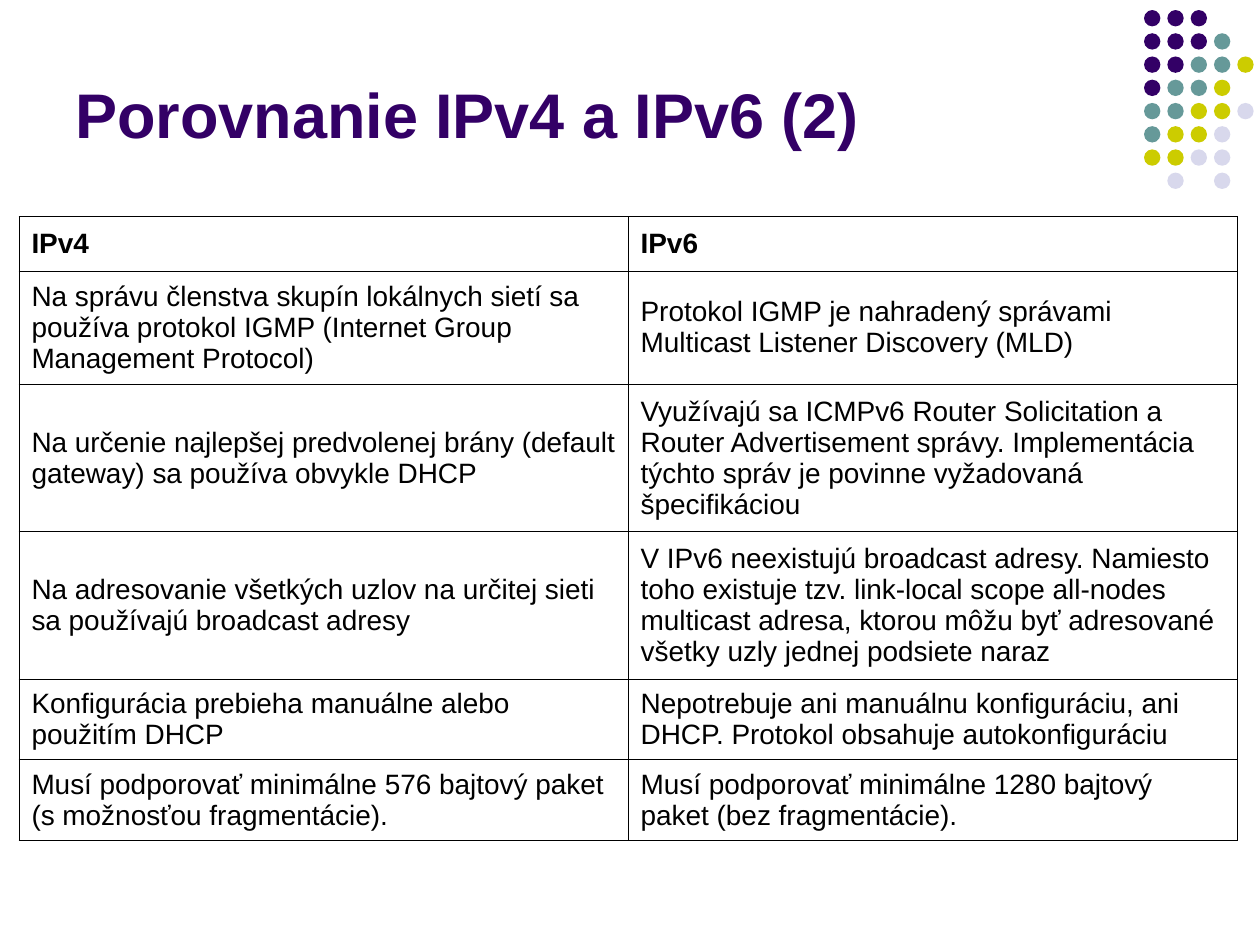
import pptx
import pptx.dml.color
import pptx.enum.shapes
import pptx.enum.text
import pptx.oxml
import pptx.oxml.ns
import pptx.util
from pptx.util import Inches

FONT = "Arial"
PURPLE, BLACK = "330066", "000000"
DOT_COLORS = {"P": PURPLE, "T": "669999", "Y": "CCCC00", "L": "D8D8EC"}
DOT_ROWS = ["PPP", "PPPT", "PPTTY", "PTTY", "TTYYL", "TYYL", "YYLL", " L L"]

ROW_HEIGHTS = [0.43, 0.9, 1.17, 1.17, 0.64, 0.64]
COMPARISON = [
    ("IPv4", "IPv6"),
    ("Na správu členstva skupín lokálnych sietí sa používa protokol IGMP "
     "(Internet Group Management Protocol)",
     "Protokol IGMP je nahradený správami Multicast Listener Discovery (MLD)"),
    ("Na určenie najlepšej predvolenej brány (default gateway) sa používa "
     "obvykle DHCP",
     "Využívajú sa ICMPv6 Router Solicitation a Router Advertisement správy. "
     "Implementácia týchto správ je povinne vyžadovaná špecifikáciou"),
    ("Na adresovanie všetkých uzlov na určitej sieti sa používajú broadcast "
     "adresy",
     "V IPv6 neexistujú broadcast adresy. Namiesto toho existuje tzv. "
     "link-local scope all-nodes multicast adresa, ktorou môžu byť adresované "
     "všetky uzly jednej podsiete naraz"),
    ("Konfigurácia prebieha manuálne alebo použitím DHCP",
     "Nepotrebuje ani manuálnu konfiguráciu, ani DHCP. Protokol obsahuje "
     "autokonfiguráciu"),
    ("Musí podporovať minimálne 576 bajtový paket (s možnosťou fragmentácie).",
     "Musí podporovať minimálne 1280 bajtový paket (bez fragmentácie)."),
]


def color(hex_value):
    return pptx.dml.color.RGBColor.from_string(hex_value)


def style(para, size, hex_value, bold):
    para.font.name = FONT
    para.font.size = pptx.util.Pt(size)
    para.font.bold = bold
    para.font.color.rgb = color(hex_value)


def add_dots(page, left, top, width, height):
    """Fill the box with a grid of dots, five across and eight down."""
    diameter = 0.13
    step_x = (width - diameter) / 4
    step_y = (height - diameter) / (len(DOT_ROWS) - 1)
    group = page.shapes.add_group_shape()
    for row, letters in enumerate(DOT_ROWS):
        for column, letter in enumerate(letters):
            if letter not in DOT_COLORS:
                continue
            dot = group.shapes.add_shape(
                pptx.enum.shapes.MSO_SHAPE.OVAL,
                Inches(left + column * step_x), Inches(top + row * step_y),
                Inches(diameter), Inches(diameter))
            dot.shadow.inherit = False
            dot.fill.solid()
            dot.fill.fore_color.rgb = color(DOT_COLORS[letter])
            dot.line.fill.background()


def add_title(page, text, left, top, width, height):
    box = page.shapes.add_textbox(
        Inches(left), Inches(top), Inches(width), Inches(height))
    frame = box.text_frame
    frame.word_wrap = True
    frame.vertical_anchor = pptx.enum.text.MSO_ANCHOR.BOTTOM
    frame.text = text
    style(frame.paragraphs[0], 36, PURPLE, True)


def add_borders(cell):
    """Draw a thin line on all four sides; call before setting the fill."""
    properties = cell._tc.get_or_add_tcPr()
    for side in ("lnL", "lnR", "lnT", "lnB"):
        properties.append(pptx.oxml.parse_xml(
            f'<a:{side} {pptx.oxml.ns.nsdecls("a")} w="{pptx.util.Pt(0.45)}">'
            f'<a:solidFill><a:srgbClr val="{BLACK}"/></a:solidFill>'
            f'</a:{side}>'))


def add_comparison(page, left, top, width):
    columns = len(COMPARISON[0])
    table = page.shapes.add_table(
        len(COMPARISON), columns, Inches(left), Inches(top),
        Inches(width), Inches(sum(ROW_HEIGHTS))).table
    table.horz_banding = False
    for column in table.columns:
        column.width = Inches(width / columns)
    for row, (height, texts) in enumerate(zip(ROW_HEIGHTS, COMPARISON)):
        table.rows[row].height = Inches(height)
        for column, text in enumerate(texts):
            cell = table.cell(row, column)
            add_borders(cell)
            cell.fill.background()
            cell.vertical_anchor = pptx.enum.text.MSO_ANCHOR.MIDDLE
            cell.text = text
            style(cell.text_frame.paragraphs[0], 16, BLACK, row == 0)


def main():
    deck = pptx.Presentation()
    deck.slide_width, deck.slide_height = Inches(10), Inches(7.5)
    page = deck.slides.add_slide(deck.slide_layouts[6])
    add_dots(page, 9.08, 0.08, 0.87, 1.42)
    add_comparison(page, 0.15, 1.72, 9.67)
    add_title(page, "Porovnanie IPv4 a IPv6 (2)", 0.5, 0.13, 8.5, 1.12)
    deck.save("out.pptx")


if __name__ == "__main__":
    main()
